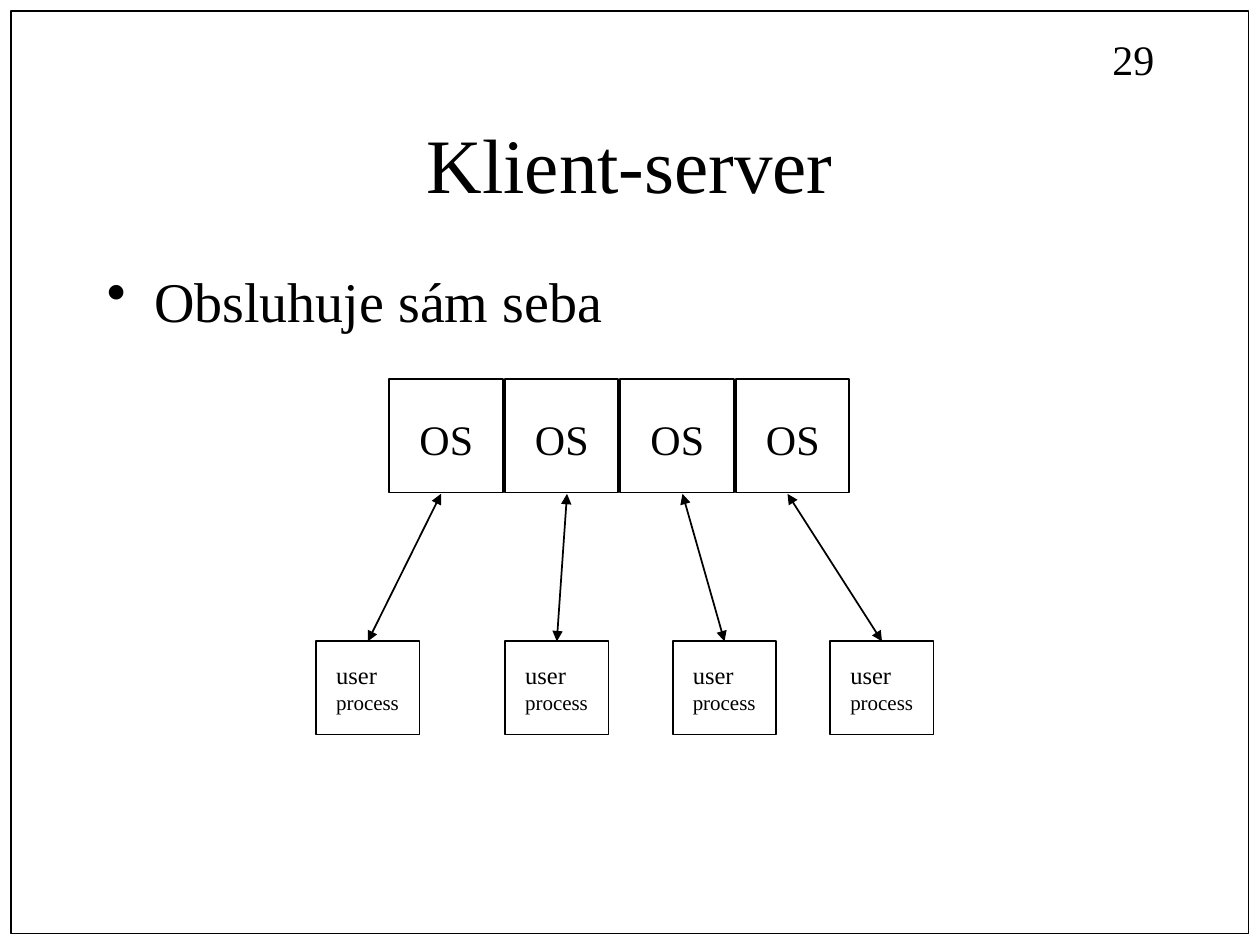
from dataclasses import dataclass
from typing import Any

import lxml.etree
import pptx
import pptx.dml.color
import pptx.enum.shapes
import pptx.enum.text
import pptx.oxml.ns
import pptx.util

Pt = pptx.util.Pt
COLORS = {"ink": "000000", "paper": "FFFFFF"}
FONT = "Times New Roman"
OS_LEFT, OS_TOP, OS_SIDE, OS_STEP = 222.5, 216.7, 64.8, 66
USER_TOP, USER_WIDTH, USER_HEIGHT = 366.5, 59, 53.3
ARROW_TOP = 282.2


@dataclass
class Line:
    text: str
    size: float


@dataclass
class Client:
    left: float
    arrow_end: float


CLIENTS = [Client(180.7, 252), Client(288.7, 324), Client(384.5, 390), Client(474.5, 450)]
USER_LINES = [Line("user", 14), Line("process", 12)]
OS_LINES = [Line("OS", 24)]


def color(name: str) -> pptx.dml.color.RGBColor:
    return pptx.dml.color.RGBColor.from_string(COLORS[name])


def apply(target: Any, values: dict[str, Any]) -> None:
    for name, value in values.items():
        setattr(target, name, value)


def place(shape: Any, left: float, top: float, width: float, height: float) -> None:
    apply(shape, {"left": Pt(left), "top": Pt(top), "width": Pt(width), "height": Pt(height)})


def write(shape: Any, lines: list[Line], **frame_format: Any) -> None:
    frame = shape.text_frame
    apply(frame, {
        "word_wrap": True,
        "auto_size": pptx.enum.text.MSO_AUTO_SIZE.NONE,
        "vertical_anchor": pptx.enum.text.MSO_ANCHOR.TOP,
        **frame_format,
    })
    for index, line in enumerate(lines):
        para = frame.paragraphs[0] if index == 0 else frame.add_paragraph()
        span = para.add_run()
        span.text = line.text
        apply(span.font, {"size": Pt(line.size), "name": FONT})
        span.font.color.rgb = color("ink")


def add_text(shapes: Any, left: float, top: float, width: float, height: float,
             lines: list[Line], **frame_format: Any) -> Any:
    box = shapes.add_textbox(Pt(left), Pt(top), Pt(width), Pt(height))
    write(box, lines, **frame_format)
    return box


def add_box(shapes: Any, left: float, top: float, width: float, height: float) -> Any:
    box = shapes.add_shape(pptx.enum.shapes.MSO_SHAPE.RECTANGLE,
                           Pt(left), Pt(top), Pt(width), Pt(height))
    box.shadow.inherit = False
    box.fill.background()
    box.line.width = Pt(1)
    box.line.color.rgb = color("ink")
    return box


def add_user(shapes: Any, client: Client) -> Any:
    group = shapes.add_group_shape()
    box = add_box(group.shapes, client.left, USER_TOP, USER_WIDTH, USER_HEIGHT)
    add_text(group.shapes, client.left + 4.3, USER_TOP + 7.2, 50.4, 38.2,
             USER_LINES, word_wrap=False)
    return box


def add_os(shapes: Any, left: float) -> None:
    group = shapes.add_group_shape()
    add_box(group.shapes, left, OS_TOP, OS_SIDE, OS_SIDE)
    add_text(group.shapes, left + 10.1, OS_TOP + 15.9, 44.6, 36, OS_LINES, word_wrap=False)


def add_arrow(shapes: Any, user: Any, client: Client) -> None:
    arrow = shapes.add_connector(
        pptx.enum.shapes.MSO_CONNECTOR.STRAIGHT,
        Pt(client.left + USER_WIDTH / 2), Pt(USER_TOP), Pt(client.arrow_end), Pt(ARROW_TOP))
    arrow.begin_connect(user, 0)
    arrow.line.width = Pt(1)
    arrow.line.color.rgb = color("ink")
    properties = arrow.element.spPr
    outline = properties.find(pptx.oxml.ns.qn("a:ln"))
    for end in ("a:headEnd", "a:tailEnd"):
        lxml.etree.SubElement(outline, pptx.oxml.ns.qn(end), type="triangle")
    lxml.etree.SubElement(properties, pptx.oxml.ns.qn("a:effectLst"))


def add_bullet(para: Any) -> None:
    properties = para._p.get_or_add_pPr()
    apply_indent = {"marL": Pt(27), "indent": Pt(-27)}
    for name, value in apply_indent.items():
        properties.set(name, str(int(value)))
    lxml.etree.SubElement(properties, pptx.oxml.ns.qn("a:buChar"), char="•")
    para.line_spacing = 0.8


def main() -> None:
    deck = pptx.Presentation()
    apply(deck, {"slide_width": Pt(720), "slide_height": Pt(540)})
    page = deck.slides.add_slide(deck.slide_layouts[5])
    page.background.fill.solid()
    page.background.fill.fore_color.rgb = color("paper")
    shapes = page.shapes

    title = shapes.title
    place(title, 54, 48, 612, 90)
    write(title, [Line("Klient-server", 44)],
          vertical_anchor=pptx.enum.text.MSO_ANCHOR.MIDDLE)
    title.text_frame.paragraphs[0].alignment = pptx.enum.text.PP_ALIGN.CENTER

    add_box(shapes, 6.5, 6.5, 707, 527)
    add_text(shapes, 628.6, 15.8, 114.5, 36, [Line("29", 24)])
    body = add_text(shapes, 54, 156, 612, 324, [Line("Obsluhuje sám seba", 32)])
    add_bullet(body.text_frame.paragraphs[0])

    users = [add_user(shapes, client) for client in CLIENTS]
    for user, client in zip(users, CLIENTS):
        add_arrow(shapes, user, client)
    for index in range(len(CLIENTS)):
        add_os(shapes, OS_LEFT + index * OS_STEP)

    deck.save("out.pptx")


if __name__ == "__main__":
    main()
